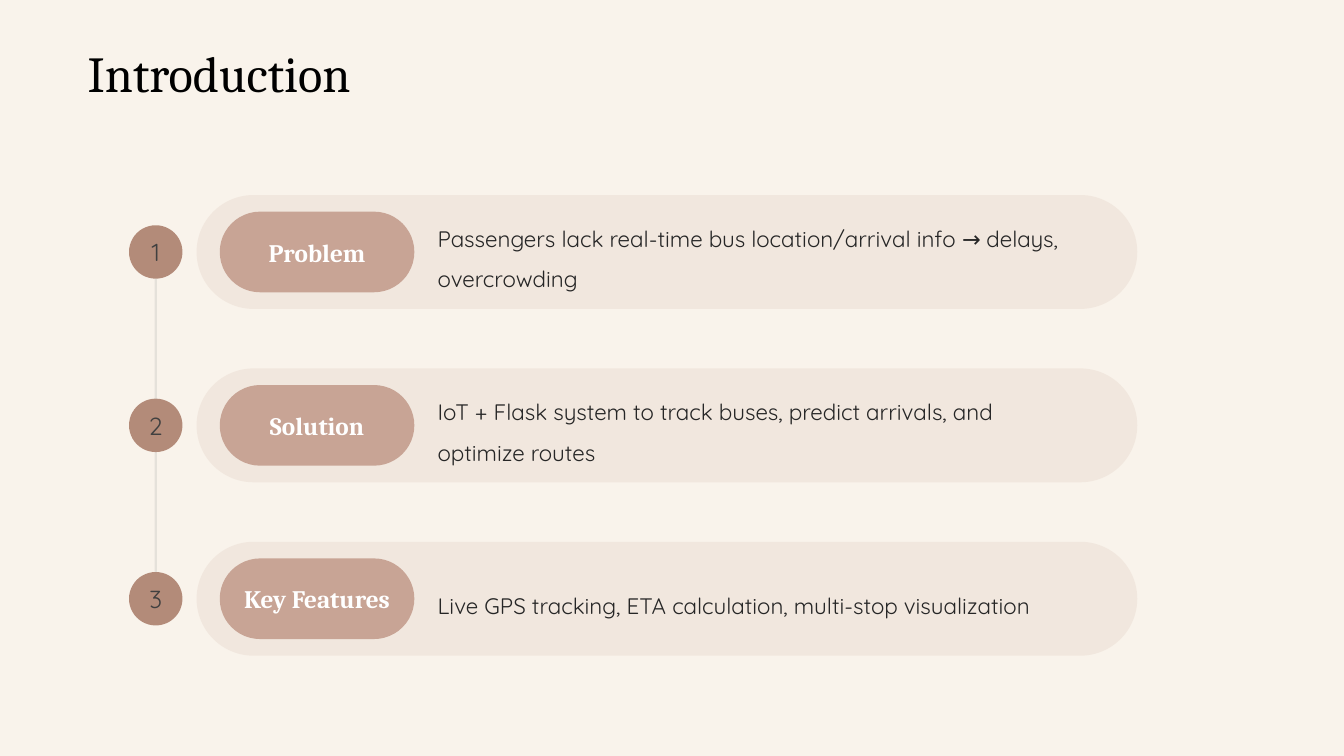
"""Build the Introduction slide: three numbered pills with a linking timeline."""
import pptx
import pptx.util
import pptx.dml.color
import pptx.enum.shapes
import pptx.enum.text
from dataclasses import dataclass
from lxml import etree

TITLE = "Introduction"
TOPICS = [
    ("Problem", "Passengers lack real-time bus location/arrival info → delays, overcrowding"),
    ("Solution", "IoT + Flask system to track buses, predict arrivals, and optimize routes"),
    ("Key Features", "Live GPS tracking, ETA calculation, multi-stop visualization"),
]


@dataclass(frozen=True)
class Theme:
    background: str = "F9F3EB"
    title: str = "000000"
    pill: str = "C8A495"
    label: str = "FFFFFF"
    detail: str = "262626"
    badge: str = "935A44"
    number: str = "404040"
    link: str = "999999"
    heading_font: str = "Cambria"
    body_font: str = "Quicksand"
    title_size: float = 36
    label_size: float = 18
    detail_size: float = 16
    number_size: float = 17.6
    link_width: float = 1.5
    band_alpha: int = 15
    badge_alpha: int = 68
    link_alpha: int = 20


THEME = Theme()
WIDTH, HEIGHT = 13.33, 7.5
FIRST_CENTRE, ROW_PITCH = HEIGHT / 3, 1.72
TITLE_BOX = (0.76, 0.17, 11.81, 1.18)
TITLE_INDENT = 0.11
COLUMNS = {
    "badge": (1.28, 0.53, 0.53),
    "band": (1.95, 9.33, 1.13),
    "label": (2.18, 1.93, 0.8),
    "detail": (4.34, 6.38, 0.96),
}

SHAPES = pptx.enum.shapes.MSO_SHAPE
ALIGN = pptx.enum.text.PP_ALIGN
INCH = pptx.util.Inches
A = "http://schemas.openxmlformats.org/drawingml/2006/main"


def rgb(colour):
    return pptx.dml.color.RGBColor.from_string(colour)


def cell(column, row):
    left, width, height = COLUMNS[column]
    top = FIRST_CENTRE + row * ROW_PITCH - height / 2
    return [INCH(length) for length in (left, top, width, height)]


def set_alpha(element, percent):
    for colour in element.iter(f"{{{A}}}srgbClr"):
        etree.SubElement(colour, f"{{{A}}}alpha", val=str(percent * 1000))


def write(frame, text, font, size, colour, align=ALIGN.LEFT, bold=False, spacing=None, wrap=True):
    frame.word_wrap = wrap
    frame.auto_size = pptx.enum.text.MSO_AUTO_SIZE.NONE
    frame.vertical_anchor = pptx.enum.text.MSO_ANCHOR.MIDDLE
    frame.margin_left = frame.margin_right = frame.margin_top = frame.margin_bottom = 0
    paragraph = frame.paragraphs[0]
    paragraph.alignment = align
    if spacing:
        paragraph.line_spacing = spacing
    run = paragraph.add_run()
    run.text = text
    run.font.name = font
    run.font.size = pptx.util.Pt(size)
    run.font.bold = bold
    run.font.color.rgb = rgb(colour)


def add_filled(slide, preset, box, colour, alpha=None):
    shape = slide.shapes.add_shape(preset, *box)
    shape.shadow.inherit = False
    shape.fill.solid()
    shape.fill.fore_color.rgb = rgb(colour)
    shape.line.fill.background()
    if alpha:
        set_alpha(shape.fill._xPr, alpha)
    if preset == SHAPES.ROUNDED_RECTANGLE:
        shape.adjustments[0] = 0.5
    return shape


def add_topic(slide, row, label, detail):
    add_filled(slide, SHAPES.ROUNDED_RECTANGLE, cell("band", row), THEME.pill, THEME.band_alpha)
    pill = add_filled(slide, SHAPES.ROUNDED_RECTANGLE, cell("label", row), THEME.pill)
    write(pill.text_frame, label, THEME.heading_font, THEME.label_size, THEME.label,
          ALIGN.CENTER, bold=True)
    description = slide.shapes.add_textbox(*cell("detail", row))
    write(description.text_frame, detail, THEME.body_font, THEME.detail_size, THEME.detail,
          spacing=1.5)
    badge = add_filled(slide, SHAPES.OVAL, cell("badge", row), THEME.badge, THEME.badge_alpha)
    write(badge.text_frame, str(row + 1), THEME.body_font, THEME.number_size, THEME.number,
          ALIGN.CENTER, wrap=False)
    return badge


def add_link(slide, upper, lower):
    centre = upper.left + upper.width // 2
    link = slide.shapes.add_connector(
        pptx.enum.shapes.MSO_CONNECTOR.STRAIGHT,
        centre, upper.top + upper.height, centre, lower.top)
    link.line.width = pptx.util.Pt(THEME.link_width)
    link.line.color.rgb = rgb(THEME.link)
    properties = link._element.spPr
    set_alpha(properties, THEME.link_alpha)
    etree.SubElement(properties, f"{{{A}}}effectLst")


def main():
    deck = pptx.Presentation()
    deck.slide_width, deck.slide_height = INCH(WIDTH), INCH(HEIGHT)
    slide = deck.slides.add_slide(deck.slide_layouts[5])
    slide.background.fill.solid()
    slide.background.fill.fore_color.rgb = rgb(THEME.background)

    title = slide.shapes.title
    title.left, title.top, title.width, title.height = map(INCH, TITLE_BOX)
    write(title.text_frame, TITLE, THEME.heading_font, THEME.title_size, THEME.title, spacing=0.9)
    title.text_frame.margin_left = INCH(TITLE_INDENT)

    badges = [add_topic(slide, row, *topic) for row, topic in enumerate(TOPICS)]
    for upper, lower in zip(badges, badges[1:]):
        add_link(slide, upper, lower)
    deck.save("out.pptx")


if __name__ == "__main__":
    main()
